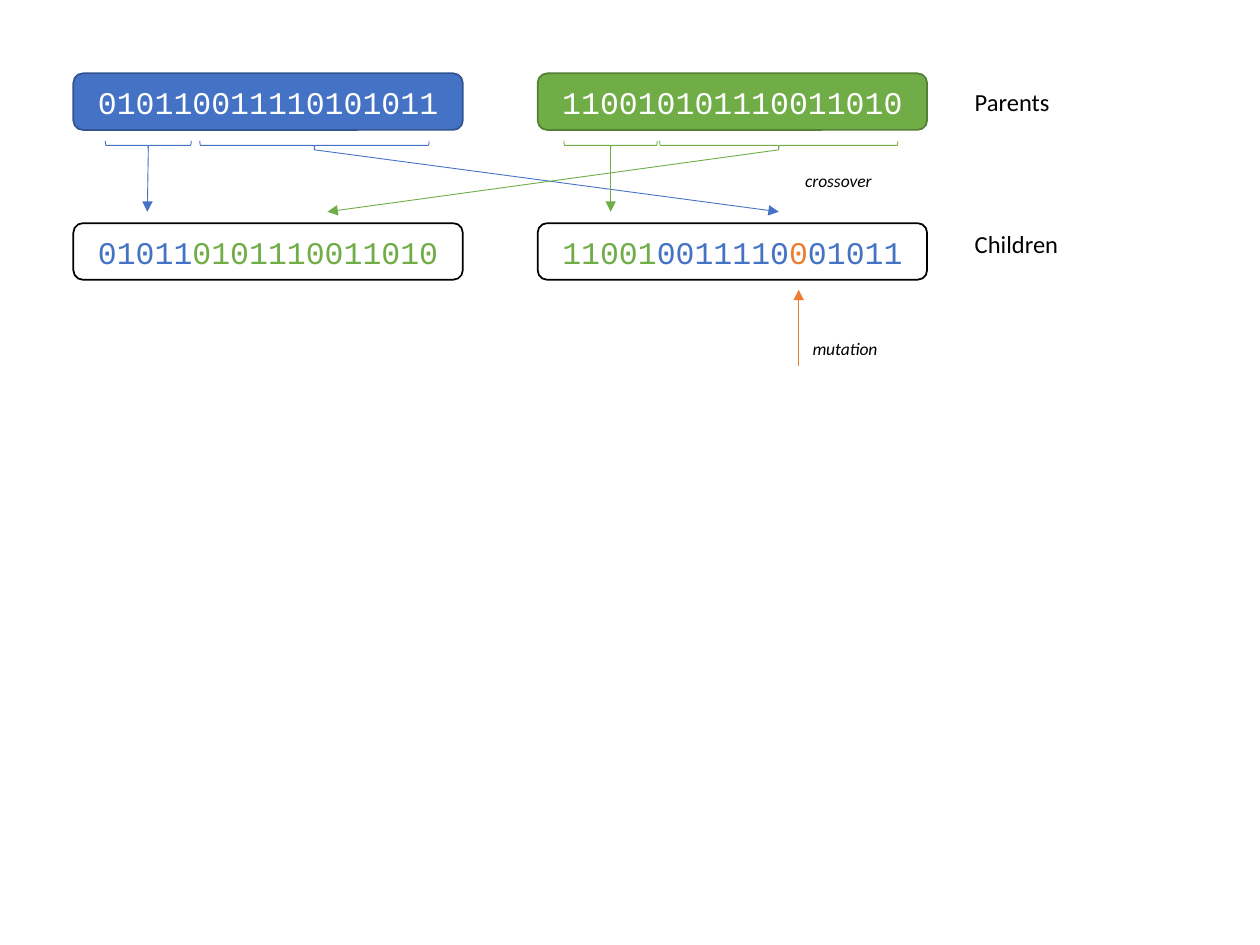
from lxml import etree
from pptx import Presentation
from pptx.dml.color import RGBColor
from pptx.enum.shapes import MSO_CONNECTOR, MSO_SHAPE
from pptx.enum.text import MSO_ANCHOR, MSO_AUTO_SIZE, PP_ALIGN
from pptx.oxml.ns import qn
from pptx.util import Cm, Pt

ROUNDED = MSO_SHAPE.ROUNDED_RECTANGLE
BRACE = MSO_SHAPE.LEFT_BRACE
STRAIGHT = MSO_CONNECTOR.STRAIGHT
MIDDLE = MSO_ANCHOR.MIDDLE
GROW = MSO_AUTO_SIZE.SHAPE_TO_FIT_TEXT
CENTER = PP_ALIGN.CENTER

BLUE, GREEN, ORANGE = "4472C4", "70AD47", "ED7D31"
WHITE, BLACK = "FFFFFF", "000000"
LEFT_X, RIGHT_X, LABEL_X = 1.48, 10.84, 19.4
PARENT_Y, BRACE_Y, CHILD_Y = 1.48, 2.93, 4.5
ARROW_TOP, ARROW_BOTTOM = 3.02, 4.27


def color(value):
    """Turn a hex string into a colour."""
    return RGBColor.from_string(value)


def set_line(shape, value, width):
    """Set line colour and width in points."""
    shape.line.color.rgb = color(value)
    shape.line.width = Pt(width)


def add_span(para, text, value, **formats):
    """Append a run with the given colour and font values."""
    span = para.add_run()
    span.text = text
    span.font.color.rgb = color(value)
    for name, setting in formats.items():
        setattr(span.font, name, setting)


def add_genome(page, left, top, fill, line, genes):
    """Draw a rounded box holding coloured genes."""
    box = page.shapes.add_shape(ROUNDED, Cm(left), Cm(top), Cm(7.85), Cm(1.14))
    box.shadow.inherit = False
    box.fill.solid()
    box.fill.fore_color.rgb = color(fill)
    set_line(box, line, 1)
    frame = box.text_frame
    frame.word_wrap = True
    frame.auto_size = GROW
    frame.vertical_anchor = MIDDLE
    para = frame.paragraphs[0]
    para.alignment = CENTER
    for text, value in genes:
        add_span(para, text, value, name="Courier New", size=Pt(18))


def add_brace(page, center, length, value):
    """Draw a brace below a group of genes, opening upward."""
    depth = 0.18
    brace = page.shapes.add_shape(
        BRACE, Cm(center - depth / 2), Cm(BRACE_Y - length / 2), Cm(depth), Cm(length))
    brace.rotation = 270
    brace.shadow.inherit = False
    brace.fill.background()
    set_line(brace, value, 0.5)


def add_arrow(page, start, end, value):
    """Draw a thin arrow from start to end."""
    arrow = page.shapes.add_connector(STRAIGHT, *map(Cm, start + end))
    set_line(arrow, value, 0.5)
    etree.SubElement(arrow.line._get_or_add_ln(), qn("a:tailEnd"), type="triangle")
    etree.SubElement(arrow._element.spPr, qn("a:effectLst"))


def add_label(page, left, top, width, height, text, size, italic=False):
    """Write a one-line label."""
    box = page.shapes.add_textbox(Cm(left), Cm(top), Cm(width), Cm(height))
    frame = box.text_frame
    frame.word_wrap = False
    frame.auto_size = GROW
    add_span(frame.paragraphs[0], text, BLACK,
             name="Calibri", size=Pt(size), italic=italic)


def main():
    """Build the slide on crossover and mutation."""
    deck = Presentation()
    deck.slide_width, deck.slide_height = Cm(25.4), Cm(19.05)
    page = deck.slides.add_slide(deck.slide_layouts[6])

    add_genome(page, LEFT_X, PARENT_Y, BLUE, "325491", [("010110011110101011", WHITE)])
    add_genome(page, RIGHT_X, PARENT_Y, GREEN, "538035", [("110010101110011010", WHITE)])
    add_genome(page, LEFT_X, CHILD_Y, WHITE, BLACK,
               [("01011", BLUE), ("0101110011010", GREEN)])
    add_genome(page, RIGHT_X, CHILD_Y, WHITE, BLACK,
               [("11001", GREEN), ("0011110", BLUE), ("0", ORANGE), ("01011", BLUE)])

    crossovers = [
        (2.99, 1.73, 2.97, BLUE),
        (6.34, 4.62, 15.7, BLUE),
        (12.31, 1.88, 12.31, GREEN),
        (15.7, 4.8, 6.6, GREEN),
    ]
    for center, length, target, value in crossovers:
        add_brace(page, center, length, value)
        add_arrow(page, (center, ARROW_TOP), (target, ARROW_BOTTOM), value)
    add_arrow(page, (16.1, 7.37), (16.1, 5.84), ORANGE)

    add_label(page, LABEL_X, 1.63, 2.03, 0.86, "Parents", 14)
    add_label(page, LABEL_X, CHILD_Y, 2.21, 0.86, "Children", 14)
    add_label(page, 15.98, 3.3, 1.88, 0.69, "crossover", 10, italic=True)
    add_label(page, 16.13, 6.68, 1.85, 0.69, "mutation", 10, italic=True)
    deck.save("out.pptx")


main()
